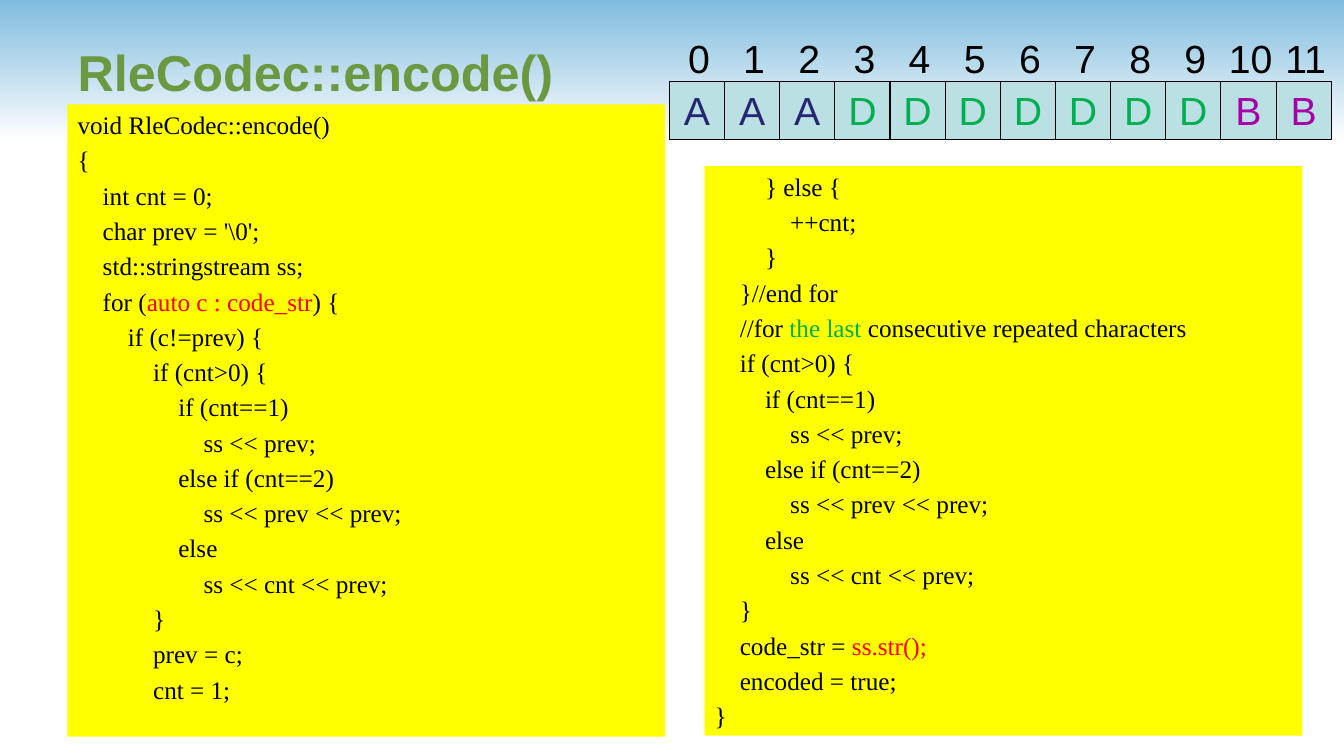
from pptx import Presentation, util as u
from pptx.dml.color import RGBColor
from pptx.enum import shapes, text
from pptx.oxml.ns import qn
from lxml import etree

BLACK = RGBColor(0x00, 0x00, 0x00)
WHITE = RGBColor(0xFF, 0xFF, 0xFF)
SKY = RGBColor(0x80, 0xBC, 0xDE)
OLIVE = RGBColor(0x6B, 0x99, 0x41)
YELLOW = RGBColor(0xFF, 0xFF, 0x00)
RED = RGBColor(0xFF, 0x00, 0x00)
GREEN = RGBColor(0x00, 0xB0, 0x50)
NAVY = RGBColor(0x26, 0x26, 0x73)
PURPLE = RGBColor(0xA8, 0x00, 0xA8)
AQUA = RGBColor(0xBB, 0xE0, 0xE3)

TITLE = {"name": "Arial", "size": u.Pt(36), "bold": True}
CODE = {"name": "Times New Roman", "size": u.Pt(18)}
CELL = {"name": "Arial", "size": u.Pt(28)}

LEFT = r"""void RleCodec::encode()
{
    int cnt = 0;
    char prev = '\0';
    std::stringstream ss;
    for (auto c : code_str) {
        if (c!=prev) {
            if (cnt>0) {
                if (cnt==1)
                    ss << prev;
                else if (cnt==2)
                    ss << prev << prev;
                else
                    ss << cnt << prev;
            }
            prev = c;
            cnt = 1;"""
RIGHT = """        } else {
            ++cnt;
        }
    }//end for
    //for the last consecutive repeated characters
    if (cnt>0) {
        if (cnt==1)
            ss << prev;
        else if (cnt==2)
            ss << prev << prev;
        else
            ss << cnt << prev;
    }
    code_str = ss.str();
    encoded = true;
}"""
MARKS = {"auto c : code_str": RED, "the last ": GREEN, "ss.str();": RED}
LETTERS = "AAADDDDDDDBB"
TINTS = {"A": NAVY, "D": GREEN, "B": PURPLE}


def add_run(para, words, form, color):
    """Add a run of text with its font values and colour."""
    run = para.add_run()
    run.text = words
    for key, val in form.items():
        setattr(run.font, key, val)
    run.font.color.rgb = color


def place(shape, left, top, width, height):
    """Set the place and size of a shape in centimetres."""
    box = {"left": left, "top": top, "width": width, "height": height}
    for key, val in box.items():
        setattr(shape, key, u.Cm(val))


deck = Presentation()
deck.slide_width, deck.slide_height = u.Cm(33.87), u.Cm(19.05)
slide = deck.slides.add_slide(deck.slide_layouts[1])
title, body = slide.placeholders

# Sky band behind everything
band = slide.shapes.add_shape(shapes.MSO_SHAPE.PENTAGON, 0, 0, deck.slide_width, u.Cm(3.6))
band.adjustments[0] = 0
band.shadow.inherit = False
band.line.fill.background()
band.fill.gradient()
band.fill.gradient_angle = 270
for stop, color in zip(band.fill.gradient_stops, (SKY, WHITE)):
    stop.color.rgb = color
title._element.addprevious(band._element)

# Title
place(title, 1.7, 0.2, 30.76, 3.18)
title.text_frame.auto_size = text.MSO_AUTO_SIZE.NONE
title.text_frame.vertical_anchor = text.MSO_ANCHOR.MIDDLE
head = title.text_frame.paragraphs[0]
head.alignment = text.PP_ALIGN.LEFT
add_run(head, "RleCodec::encode()", TITLE, OLIVE)

# Code panels
place(body, 1.7, 2.63, 15.06, 15.93)
panel = slide.shapes.add_textbox(u.Cm(17.76), u.Cm(4.19), u.Cm(15.06), u.Cm(14.35))
for box, code in ((body, LEFT), (panel, RIGHT)):
    box.fill.solid()
    box.fill.fore_color.rgb = YELLOW
    frame = box.text_frame
    frame.word_wrap = True
    frame.auto_size = text.MSO_AUTO_SIZE.NONE
    for row, line in enumerate(code.splitlines()):
        para = frame.add_paragraph() if row else frame.paragraphs[0]
        para.space_before = u.Pt(3.6)
        words = line.lstrip()
        depth = (len(line) - len(words)) // 4
        props = para._p.get_or_add_pPr()
        props.set("marL", str(u.Pt(18 * depth)))
        props.set("indent", "0")
        etree.SubElement(props, qn("a:buNone"))
        mark = next((m for m in MARKS if m in words), None)
        if mark:
            start, _, rest = words.partition(mark)
            add_run(para, start, CODE, BLACK)
            add_run(para, mark, CODE, MARKS[mark])
            words = rest
        if words:
            add_run(para, words, CODE, BLACK)

# Letter cells with their index above
STEP = 1.39
for index, letter in enumerate(LETTERS):
    left = 16.87 + index * STEP
    cell = slide.shapes.add_shape(
        shapes.MSO_SHAPE.RECTANGLE, u.Cm(left), u.Cm(2.06), u.Cm(STEP), u.Cm(1.45))
    cell.shadow.inherit = False
    cell.fill.solid()
    cell.fill.fore_color.rgb = AQUA
    cell.line.color.rgb = BLACK
    cell.line.width = u.Pt(0.75)
    label = slide.shapes.add_textbox(
        u.Cm(left - 0.17), u.Cm(0.74), u.Cm(STEP + 0.44), u.Cm(1.14))
    for box, words, color in ((cell, letter, TINTS[letter]), (label, str(index), BLACK)):
        box.text_frame.word_wrap = True
        box.text_frame.vertical_anchor = text.MSO_ANCHOR.TOP
        para = box.text_frame.paragraphs[0]
        para.alignment = text.PP_ALIGN.CENTER
        add_run(para, words, CELL, color)

deck.save("out.pptx")
